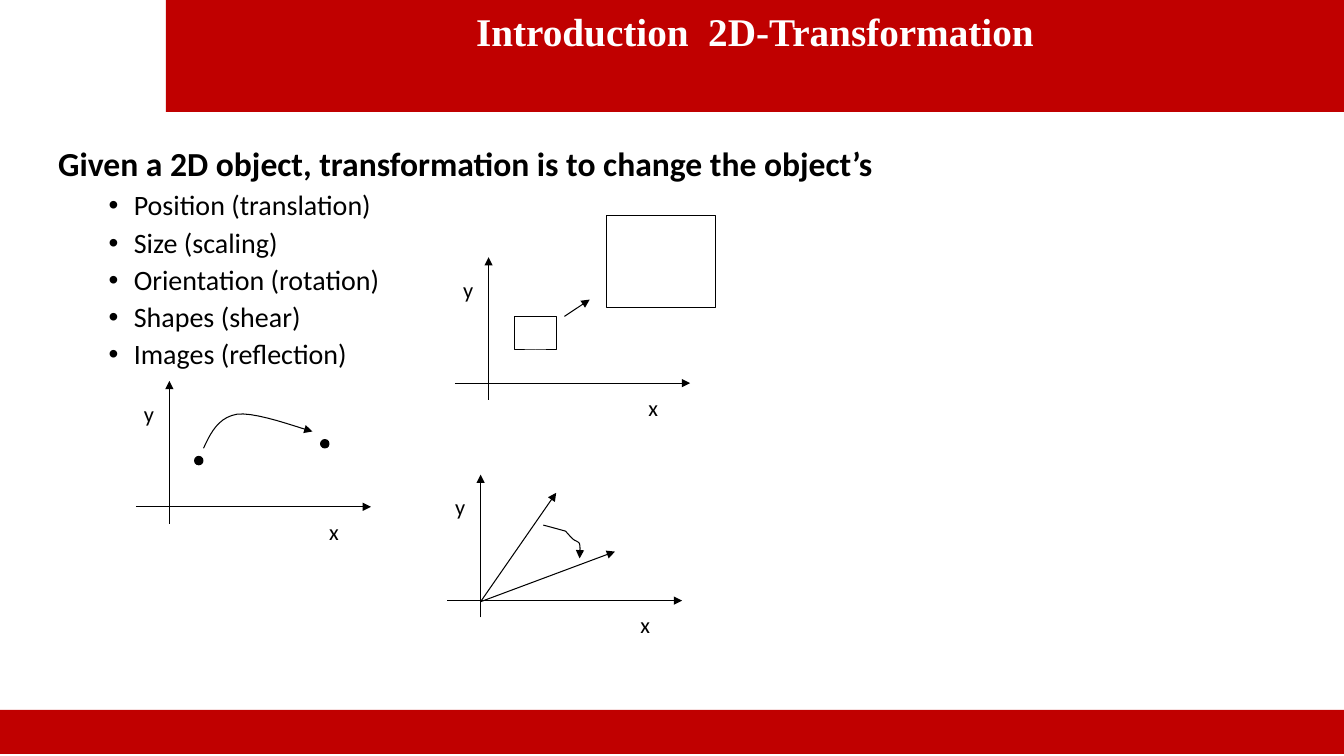
from lxml.etree import SubElement
from pptx import Presentation
from pptx.dml.color import RGBColor
from pptx.enum.shapes import MSO_CONNECTOR, MSO_SHAPE
from pptx.enum.text import MSO_ANCHOR, MSO_AUTO_SIZE, PP_ALIGN
from pptx.oxml.ns import qn
from pptx.util import Pt

RED = RGBColor(0xC0, 0x00, 0x00)
WHITE = RGBColor(0xFF, 0xFF, 0xFF)
BLACK = RGBColor(0x00, 0x00, 0x00)


class TransformationSlide:
    title_font = "Times New Roman"
    body_font = "Calibri"
    line_width = 0.75
    curve_steps = 10

    def __init__(self, deck):
        self.slide = deck.slides.add_slide(deck.slide_layouts[5])
        self.shapes = self.slide.shapes

    def style_font(self, paragraph, name, size, color, bold=False):
        for run in paragraph.runs:
            run.font.name = name
            run.font.size = Pt(size)
            run.font.bold = bold
            run.font.color.rgb = color

    def title(self, text, left, top, width, height):
        title = self.shapes.title
        title.left, title.top = Pt(left), Pt(top)
        title.width, title.height = Pt(width), Pt(height)
        title.fill.solid()
        title.fill.fore_color.rgb = RED
        frame = title.text_frame
        frame.text = text
        frame.word_wrap = True
        frame.auto_size = MSO_AUTO_SIZE.NONE
        frame.vertical_anchor = MSO_ANCHOR.TOP
        frame.margin_top = Pt(7)
        frame.paragraphs[0].alignment = PP_ALIGN.CENTER
        self.style_font(frame.paragraphs[0], self.title_font, 28, WHITE, True)

    def shape(self, kind, left, top, width, height, fill=None, line=BLACK):
        shape = self.shapes.add_shape(kind, Pt(left), Pt(top), Pt(width), Pt(height))
        shape.shadow.inherit = False
        if fill is None:
            shape.fill.background()
        else:
            shape.fill.solid()
            shape.fill.fore_color.rgb = fill
        if line is None:
            shape.line.fill.background()
        else:
            shape.line.color.rgb = line
            shape.line.width = Pt(self.line_width)

    def finish_arrow(self, arrow):
        arrow.line.color.rgb = BLACK
        arrow.line.width = Pt(self.line_width)
        SubElement(arrow.line._get_or_add_ln(), qn("a:tailEnd"), type="triangle")

    def arrow(self, x1, y1, x2, y2):
        arrow = self.shapes.add_connector(
            MSO_CONNECTOR.STRAIGHT, Pt(x1), Pt(y1), Pt(x2), Pt(y2))
        self.finish_arrow(arrow)
        SubElement(arrow._element.spPr, qn("a:effectLst"))

    def curved_arrow(self, start, *curves):
        points = []
        here = start
        for bend1, bend2, end in curves:
            for step in range(1, self.curve_steps + 1):
                t = step / self.curve_steps
                s = 1 - t
                points.append(tuple(
                    Pt(s**3 * a + 3 * s * s * t * b + 3 * s * t * t * c + t**3 * d)
                    for a, b, c, d in zip(here, bend1, bend2, end)))
            here = end
        builder = self.shapes.build_freeform(Pt(start[0]), Pt(start[1]))
        builder.add_line_segments(points, close=False)
        arrow = builder.convert_to_shape()
        arrow.shadow.inherit = False
        arrow.fill.background()
        self.finish_arrow(arrow)

    def label(self, text, left, top):
        label = self.shapes.add_textbox(Pt(left), Pt(top), Pt(22), Pt(26.6))
        label.text_frame.text = text
        label.text_frame.word_wrap = False
        self.style_font(label.text_frame.paragraphs[0], self.body_font, 16, BLACK)

    def axes(self, x, y):
        self.arrow(x - 24, y, x + 144, y)
        self.arrow(x, y + 12, x, y - 90)
        self.label("x", x + 107, y + 4.3)
        self.label("y", x - 25.3, y - 80)

    def bullet_text(self, heading, items, left, top, width, height):
        box = self.shapes.add_textbox(Pt(left), Pt(top), Pt(width), Pt(height))
        frame = box.text_frame
        frame.word_wrap = True
        frame.text = "\n".join([heading, *items])
        first, *bullets = frame.paragraphs
        first.line_spacing = 0.9
        first.space_after = Pt(1)
        self.style_font(first, self.body_font, 24, BLACK, True)
        for bullet in bullets:
            bullet.level = 1
            bullet.line_spacing = 0.9
            bullet.space_before = Pt(5)
            properties = bullet._p.get_or_add_pPr()
            properties.set("marL", str(Pt(54)))
            properties.set("indent", str(Pt(-18)))
            SubElement(properties, qn("a:buFont"), typeface="Arial")
            SubElement(properties, qn("a:buChar"), char="•")
            self.style_font(bullet, self.body_font, 20, BLACK)


def main():
    deck = Presentation()
    deck.slide_width, deck.slide_height = Pt(960), Pt(540)
    page = TransformationSlide(deck)

    page.title("Introduction  2D-Transformation", 118.5, -1.5, 841.5, 81.5)
    page.shape(MSO_SHAPE.RECTANGLE, 0, 507, 960, 31.5, RED, None)

    page.axes(121, 362)
    for left, top in ((139, 326), (229, 314)):
        page.shape(MSO_SHAPE.OVAL, left, top, 6, 6, BLACK)
    page.curved_arrow(
        (145.4, 320.2),
        ((150.5, 308.9), (156.2, 298.1), (169.2, 295.9)),
        ((182.2, 293.8), (214.6, 306), (223.2, 308.2)))

    page.axes(349, 273.7)
    page.shape(MSO_SHAPE.RECTANGLE, 367.3, 226, 30, 24)
    page.shape(MSO_SHAPE.RECTANGLE, 433.3, 154, 78, 66)
    page.arrow(403.2, 226, 421.2, 214)

    page.axes(343.3, 429)
    for tip_x, tip_y in ((397.3, 352), (439.3, 394)):
        page.arrow(343.3, 429.8, tip_x, tip_y)
    page.curved_arrow(
        (388.1, 375.1),
        ((393.8, 376.6), (398.9, 378), (403.9, 379.4)),
        ((406.1, 381.6), (408.2, 384.5), (410.4, 385.9)),
        ((411.8, 386.6), (414, 387.4), (414, 388.8)),
        ((414.7, 391.7), (414, 395.3), (414, 398.9)))

    page.bullet_text(
        "Given a 2D object, transformation is to change the object’s",
        ["Position (translation)", "Size (scaling)", "Orientation (rotation)",
         "Shapes (shear)", "Images (reflection)"],
        34.5, 101.5, 612, 320)
    deck.save("out.pptx")


if __name__ == "__main__":
    main()
